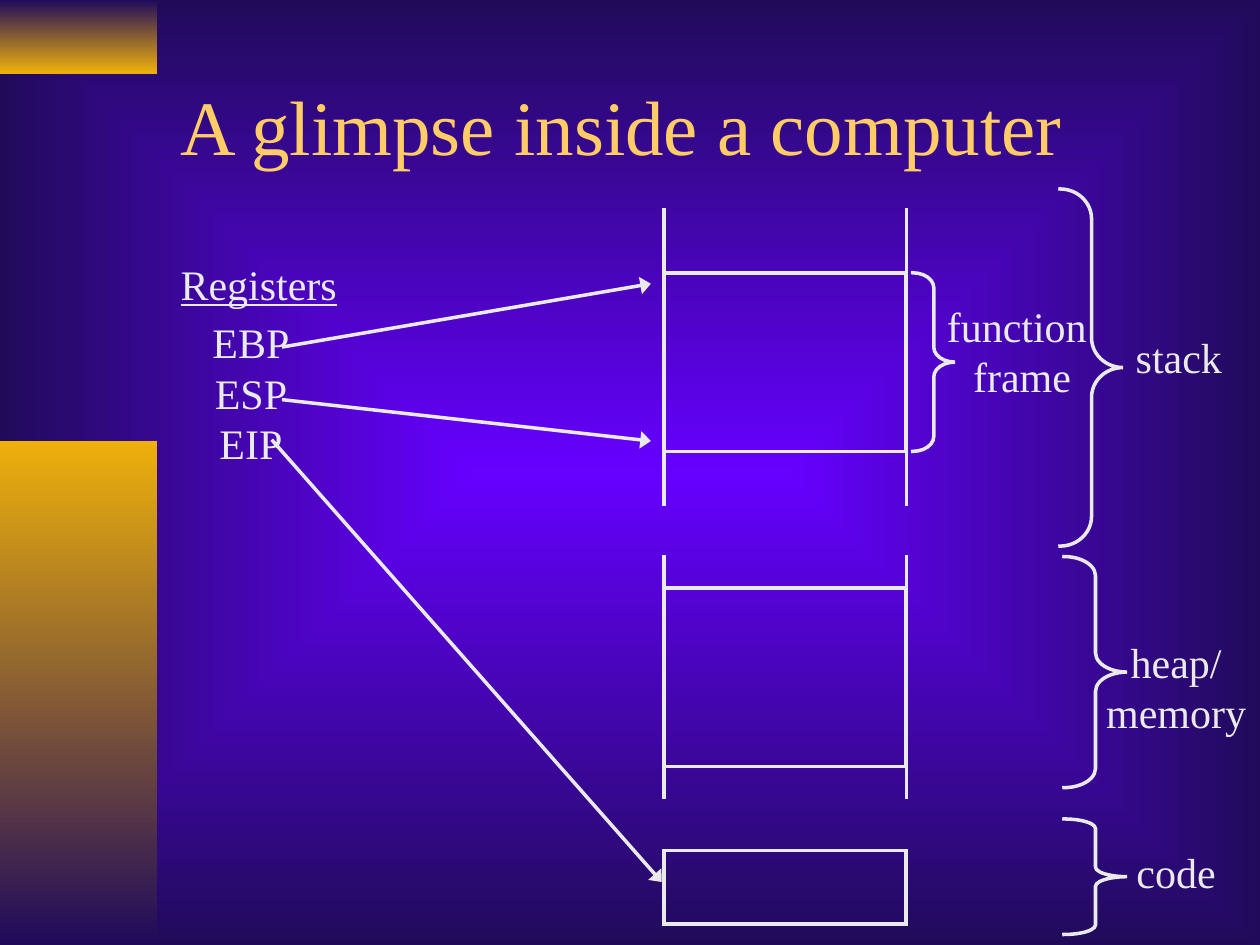
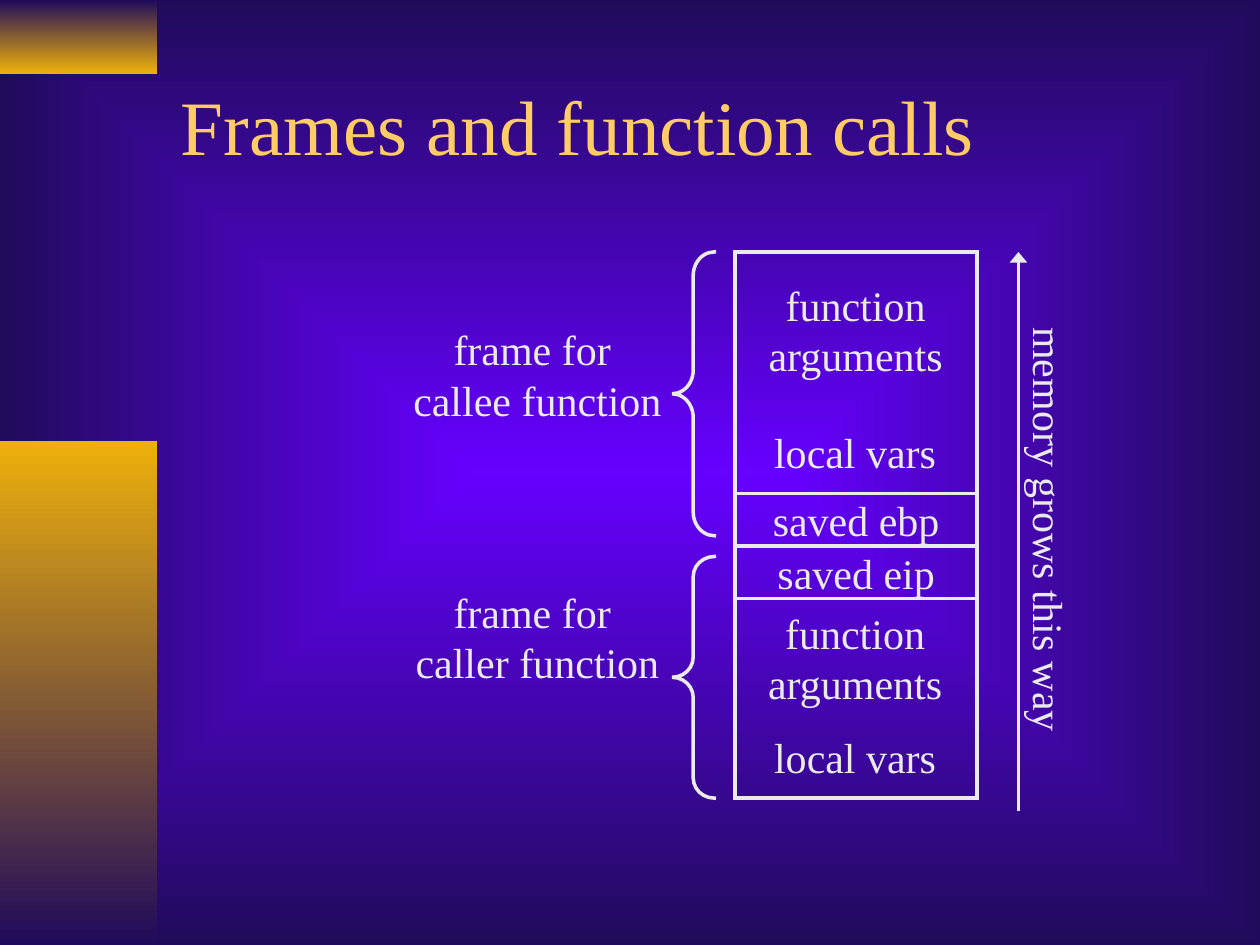
from dataclasses import dataclass
from typing import Optional

import pptx
import pptx.dml.color
import pptx.enum.shapes
import pptx.enum.text
import pptx.oxml.ns
import pptx.shapes.autoshape
import pptx.slide
import pptx.text.text
import pptx.util
from lxml import etree

Cm = pptx.util.Cm
Pt = pptx.util.Pt
RGBColor = pptx.dml.color.RGBColor
SHAPE = pptx.enum.shapes.MSO_SHAPE
ALIGN = pptx.enum.text.PP_ALIGN
ANCHOR = pptx.enum.text.MSO_ANCHOR
AUTO_SIZE = pptx.enum.text.MSO_AUTO_SIZE
qn = pptx.oxml.ns.qn

VIOLET = RGBColor(0x66, 0x00, 0xFF)
NIGHT = RGBColor(0x20, 0x0B, 0x5B)
AMBER = RGBColor(0xEE, 0xB0, 0x0B)
TITLE_GOLD = RGBColor(0xFF, 0xCC, 0x66)
CHALK = RGBColor(0xEA, 0xEA, 0xEA)

FONT = "Times New Roman"
TITLE_SIZE = Pt(44)
LABEL_SIZE = Pt(24)
STROKE = Pt(2)

COLUMN_WIDTH = 4.88
MEMORY_LEFT = 13.39
WALL_LENGTH = 2.96
FRAMES_LEFT = 14.82
SAVED_HEIGHT = 1.06


@dataclass(frozen=True)
class Area:
    left: float
    top: float
    width: float
    height: float

    def lengths(self) -> tuple:
        return Cm(self.left), Cm(self.top), Cm(self.width), Cm(self.height)


@dataclass(frozen=True)
class Band:
    area: Area
    upper: RGBColor
    lower: RGBColor


@dataclass(frozen=True)
class Label:
    text: str
    area: Area
    align: ALIGN = ALIGN.CENTER
    underline: bool = False
    rotation: int = 0
    spacing: Optional[float] = None


@dataclass(frozen=True)
class Cell:
    area: Area
    text: str = ""


@dataclass(frozen=True)
class Brace:
    area: Area
    shape: SHAPE = SHAPE.RIGHT_BRACE


@dataclass(frozen=True)
class Line:
    x1: float
    y1: float
    x2: float
    y2: float
    arrow: bool = True


TITLE_AREA = Area(3.39, 0.83, 21.59, 3.36)
BANDS = (
    Band(Area(0, 0, 3.17, 1.48), NIGHT, AMBER),
    Band(Area(0, 8.89, 3.17, 10.16), AMBER, NIGHT),
)

COMPUTER_CELLS = [
    Cell(Area(MEMORY_LEFT, top, COLUMN_WIDTH, height))
    for top, height in ((5.5, 3.6), (11.85, 3.6), (17.15, 1.48))
]
COMPUTER_BRACES = [
    Brace(Area(18.4, 5.5, 0.85, 3.6)),
    Brace(Area(21.37, 3.81, 1.27, 7.2)),
    Brace(Area(21.45, 11.22, 1.27, 4.66)),
    Brace(Area(21.45, 16.51, 1.27, 2.33)),
]
COMPUTER_LABELS = [
    Label("function \vframe", Area(18.6, 5.93, 4.01, 2.29)),
    Label("Registers", Area(3.19, 5.08, 4.05, 1.27), underline=True),
    Label("stack", Area(22.45, 6.56, 2.63, 1.27)),
    Label("heap/\nmemory", Area(21.85, 12.7, 3.72, 2.29)),
    Label("code", Area(22.45, 16.93, 2.52, 1.27)),
    Label("EBP\nESP\nEIP", Area(3.83, 6.26, 2.46, 3.3)),
]
COMPUTER_LINES = [
    Line(x, top + WALL_LENGTH, x, top, arrow=False)
    for top in (4.23, 7.2, 11.22, 13.12)
    for x in (MEMORY_LEFT, MEMORY_LEFT + COLUMN_WIDTH)
] + [
    Line(5.72, 6.99, 13.12, 5.72),
    Line(5.72, 8.06, 13.12, 8.89),
    Line(5.5, 8.89, 13.34, 17.78),
]

CALL_CELLS = [
    Cell(Area(FRAMES_LEFT, top, COLUMN_WIDTH, height), text)
    for top, height, text in (
        (5.08, 4.87, ""),
        (9.95, 6.14, ""),
        (9.95 + SAVED_HEIGHT, SAVED_HEIGHT, "saved eip"),
        (9.95, SAVED_HEIGHT, "saved ebp"),
    )
]
CALL_BRACES = [
    Brace(Area(13.55, top, 0.85, height), SHAPE.LEFT_BRACE)
    for top, height in ((5.08, 5.72), (11.22, 4.87))
]
CALL_LABELS = [
    Label("frame for \vcallee function", Area(7.88, 6.4, 5.91, 2.29)),
    Label("frame for \vcaller function", Area(7.93, 11.69, 5.81, 2.29)),
    Label("memory grows this way", Area(16.83, 10.04, 8.66, 1.27),
          align=ALIGN.LEFT, rotation=90),
    Label("function\varguments", Area(15.03, 5.51, 4.44, 2.29)),
    Label("local vars", Area(15.15, 8.67, 4.18, 1.07), spacing=0.8),
    Label("function\varguments", Area(15.02, 12.12, 4.44, 2.29)),
    Label("local vars", Area(15.15, 14.81, 4.18, 1.07), spacing=0.8),
]
CALL_LINES = [Line(20.53, 16.31, 20.53, 5.08)]


def set_gradient(fill, start: RGBColor, end: RGBColor) -> None:
    fill.gradient()
    fill.gradient_angle = 270
    for stop, color, position in zip(fill.gradient_stops, (start, end), (0, 1)):
        stop.color.rgb = color
        stop.position = position


def set_background(master: pptx.slide.SlideMaster) -> None:
    set_gradient(master.background.fill, VIOLET, NIGHT)
    linear = next(master.element.cSld.iter(qn("a:lin")))
    glow = etree.Element(qn("a:path"), path="rect")
    etree.SubElement(glow, qn("a:fillToRect"), l="50000", t="50000", r="50000", b="50000")
    linear.getparent().replace(linear, glow)


def style_text(frame: pptx.text.text.TextFrame, size: int, color: RGBColor,
               align: ALIGN, underline: bool = False) -> None:
    for paragraph in frame.paragraphs:
        paragraph.alignment = align
        for run in paragraph.runs:
            run.font.name = FONT
            run.font.size = size
            run.font.color.rgb = color
            if underline:
                run.font.underline = True


def style_stroke(shape, arrow: bool = False) -> None:
    shape.line.color.rgb = CHALK
    shape.line.width = STROKE
    stroke = shape.element.spPr.find(qn("a:ln"))
    stroke.set("cap", "sq")
    etree.SubElement(stroke, qn("a:miter"), lim="800000")
    if arrow:
        etree.SubElement(stroke, qn("a:tailEnd"), type="triangle", w="lg", len="med")


def add_band(slide: pptx.slide.Slide, band: Band) -> None:
    rectangle = slide.shapes.add_shape(SHAPE.RECTANGLE, *band.area.lengths())
    rectangle.shadow.inherit = False
    rectangle.line.fill.background()
    set_gradient(rectangle.fill, band.upper, band.lower)


def add_outline(slide: pptx.slide.Slide, kind: SHAPE,
                area: Area) -> pptx.shapes.autoshape.Shape:
    outline = slide.shapes.add_shape(kind, *area.lengths())
    outline.shadow.inherit = False
    outline.fill.background()
    style_stroke(outline)
    return outline


def add_cell(slide: pptx.slide.Slide, cell: Cell) -> None:
    outline = add_outline(slide, SHAPE.RECTANGLE, cell.area)
    if cell.text:
        frame = outline.text_frame
        frame.text = cell.text
        frame.word_wrap = False
        frame.vertical_anchor = ANCHOR.MIDDLE
        style_text(frame, LABEL_SIZE, CHALK, ALIGN.CENTER)


def add_brace(slide: pptx.slide.Slide, brace: Brace) -> None:
    outline = add_outline(slide, brace.shape, brace.area)
    shorter = min(brace.area.width, brace.area.height)
    outline.adjustments[0] = brace.area.height / 12 / shorter


def add_label(slide: pptx.slide.Slide, label: Label) -> None:
    box = slide.shapes.add_textbox(*label.area.lengths())
    box.rotation = label.rotation
    frame = box.text_frame
    frame.text = label.text
    frame.word_wrap = False
    frame.auto_size = AUTO_SIZE.SHAPE_TO_FIT_TEXT
    style_text(frame, LABEL_SIZE, CHALK, label.align, label.underline)
    if label.spacing:
        frame.paragraphs[0].line_spacing = label.spacing


def add_line(slide: pptx.slide.Slide, line: Line) -> None:
    connector = slide.shapes.add_connector(
        pptx.enum.shapes.MSO_CONNECTOR.STRAIGHT,
        Cm(line.x1), Cm(line.y1), Cm(line.x2), Cm(line.y2))
    style_stroke(connector, line.arrow)
    etree.SubElement(connector.element.spPr, qn("a:effectLst"))


def add_diagram_slide(deck, title: str, cells: list[Cell], braces: list[Brace],
                      labels: list[Label], lines: list[Line]) -> None:
    slide = deck.slides.add_slide(deck.slide_layouts.get_by_name("Title Only"))
    for band in BANDS:
        add_band(slide, band)
    heading = slide.shapes.title
    heading.left, heading.top, heading.width, heading.height = TITLE_AREA.lengths()
    frame = heading.text_frame
    frame.text = title
    frame.auto_size = AUTO_SIZE.NONE
    frame.vertical_anchor = ANCHOR.MIDDLE
    style_text(frame, TITLE_SIZE, TITLE_GOLD, ALIGN.LEFT)
    for draw, parts in ((add_cell, cells), (add_brace, braces),
                        (add_label, labels), (add_line, lines)):
        for part in parts:
            draw(slide, part)


def main() -> None:
    deck = pptx.Presentation()
    deck.slide_width = Cm(25.4)
    deck.slide_height = Cm(19.05)
    set_background(deck.slide_master)
    add_diagram_slide(deck, "A glimpse inside a computer", COMPUTER_CELLS,
                      COMPUTER_BRACES, COMPUTER_LABELS, COMPUTER_LINES)
    add_diagram_slide(deck, "Frames and function calls", CALL_CELLS,
                      CALL_BRACES, CALL_LABELS, CALL_LINES)
    deck.save("out.pptx")


if __name__ == "__main__":
    main()
